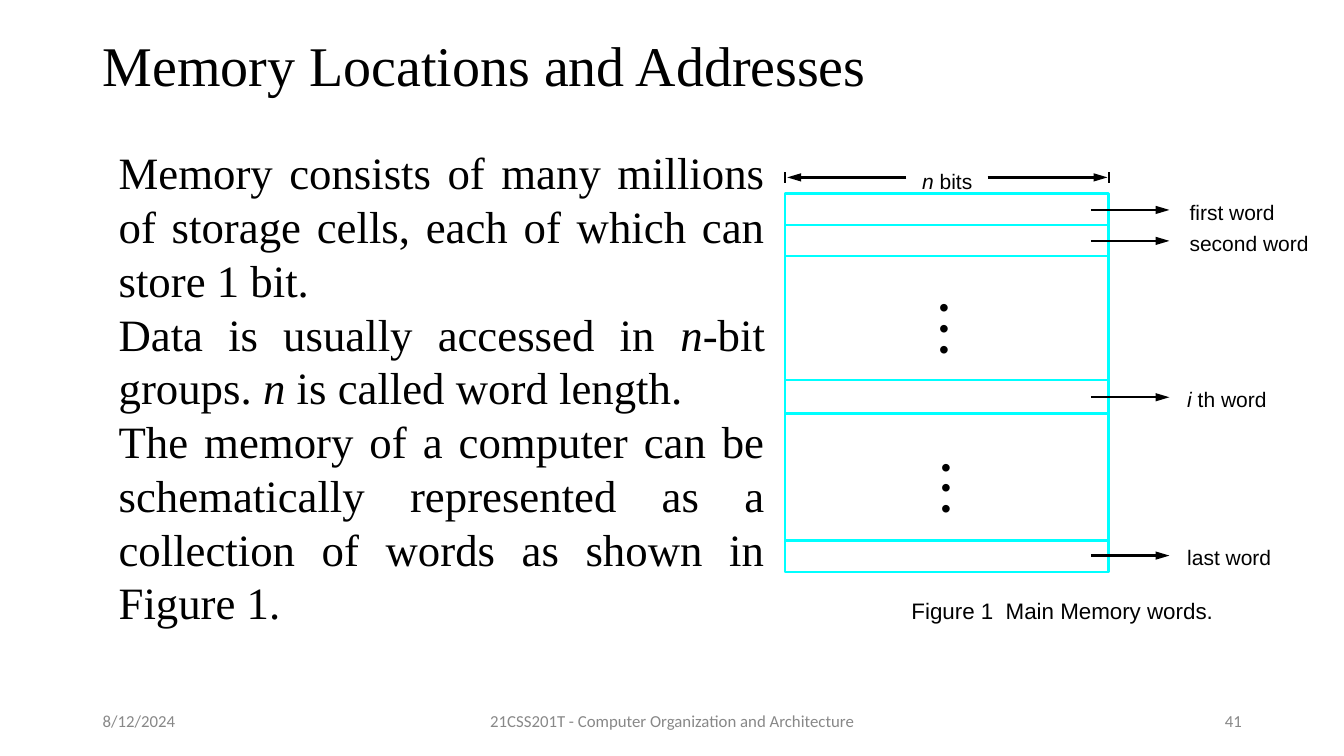
from lxml import etree
from pptx import Presentation
from pptx.dml.color import RGBColor
from pptx.enum.shapes import MSO_CONNECTOR, MSO_SHAPE
from pptx.enum.text import MSO_ANCHOR, MSO_AUTO_SIZE, PP_ALIGN
from pptx.oxml.ns import qn
from pptx.util import Cm, Pt

STRAIGHT = MSO_CONNECTOR.STRAIGHT
RECTANGLE = MSO_SHAPE.RECTANGLE
TOP, MIDDLE = MSO_ANCHOR.TOP, MSO_ANCHOR.MIDDLE
NO_AUTOFIT = MSO_AUTO_SIZE.NONE
LEFT, CENTER, RIGHT, JUSTIFY = (
    PP_ALIGN.LEFT, PP_ALIGN.CENTER, PP_ALIGN.RIGHT, PP_ALIGN.JUSTIFY)

COLORS = {"ink": "000000", "cell": "00FFFF", "footer": "888888"}
LINE_WIDTH = Pt(1.62)
TITLE_FONT = {"name": "Times New Roman", "size": Pt(40)}
BODY_FONT = {"name": "Times New Roman", "size": Pt(32)}
LABEL_FONT = {"name": "Arial", "size": Pt(15)}
CAPTION_FONT = {"name": "Arial", "size": Pt(16)}
DOT_FONT = {"name": "Arial", "size": Pt(20)}
FOOTER_FONT = {"name": "Calibri", "size": Pt(12)}

BODY_TEXT = [
    "Memory consists of many millions of storage cells, each of which can store 1 bit.",
    "Data is usually accessed in *n*-bit groups. *n* is called word length.",
    "The memory of a computer can be schematically represented as a collection "
    "of words as shown in Figure 1.",
]
DIVIDERS = [0.79, 1.57, 4.7, 5.54, 8.74]
WORDS = [(0.41, 10.19, "first word"), (1.19, 10.19, "second word"),
         (5.13, 10.13, "*i* th word"), (9.12, 10.13, "last word")]
DOTS = [(3.63, 2.87), (3.68, 6.88)]


def apply(target, values):
    for name, value in values.items():
        setattr(target, name, value)


def color(name):
    return RGBColor.from_string(COLORS[name])


def write(shape, texts, font, ink="ink", frame_format=None, paragraph_format=None):
    frame = shape.text_frame
    apply(frame, {"word_wrap": True, "auto_size": NO_AUTOFIT,
                  "vertical_anchor": TOP, **(frame_format or {})})
    for index, text in enumerate(texts):
        paragraph = frame.paragraphs[0] if index == 0 else frame.add_paragraph()
        apply(paragraph, {"alignment": LEFT, **(paragraph_format or {})})
        if index == 0:
            paragraph.space_before = Pt(0)
        for part, words in enumerate(text.split("*")):
            if words:
                run = paragraph.add_run()
                run.text = words
                apply(run.font, {**font, "italic": part % 2 == 1})
                run.font.color.rgb = color(ink)


def add_text(slide, box, texts, font, **formats):
    shape = slide.shapes.add_textbox(*map(Cm, box))
    write(shape, texts, font, **formats)


def add_label(slide, box, text, font):
    margins = ("margin_left", "margin_top", "margin_right", "margin_bottom")
    add_text(slide, box, [text], font,
             frame_format={**dict.fromkeys(margins, 0), "word_wrap": False})


def add_line(slide, start, end, ink="ink", arrow=False):
    line = slide.shapes.add_connector(STRAIGHT, *map(Cm, (*start, *end)))
    line.line.color.rgb = color(ink)
    line.line.width = LINE_WIDTH
    properties = line._element.spPr
    if arrow:
        etree.SubElement(properties.find(qn("a:ln")), qn("a:tailEnd"),
                         type="triangle", w="med", len="lg")
    etree.SubElement(properties, qn("a:effectLst"))


def add_title(slide, box):
    title = slide.shapes.title
    apply(title, dict(zip(("left", "top", "width", "height"), map(Cm, box))))
    write(title, ["Memory Locations and Addresses"], TITLE_FONT,
          frame_format={"vertical_anchor": MIDDLE},
          paragraph_format={"line_spacing": 0.9})


def add_bit_width(slide, left, width, y):
    right = left + width
    for edge in (left, right):
        add_line(slide, (edge, y + 0.13), (edge, y - 0.13))
    add_line(slide, (left + 3.05, y), (left + 0.05, y), arrow=True)
    add_line(slide, (right - 3.05, y), (right - 0.03, y), arrow=True)
    add_label(slide, (left + 3.45, y - 0.23, 1.22, 0.64), "*n* bits", LABEL_FONT)


def add_memory(slide, box):
    left, top, width, height = box
    memory = slide.shapes.add_shape(RECTANGLE, *map(Cm, box))
    memory.shadow.inherit = False
    memory.fill.background()
    memory.line.color.rgb = color("cell")
    memory.line.width = LINE_WIDTH
    for offset in DIVIDERS:
        add_line(slide, (left, top + offset), (left + width, top + offset), "cell")
    add_bit_width(slide, left, width, top - 0.41)
    for offset, label_offset, text in WORDS:
        y = top + offset
        add_line(slide, (left + 7.7, y), (left + 9.68, y), arrow=True)
        add_label(slide, (left + label_offset, y - 0.27, 3.05, 0.64), text, LABEL_FONT)
    for x, y in DOTS:
        add_text(slide, (left + x, top + y, 0.74, 2.3), ["•"] * 3, DOT_FONT,
                 paragraph_format={"line_spacing": 0.2, "space_before": Pt(10)})
    add_label(slide, (left + 3.18, top + height + 0.63, 7.7, 0.69),
              "Figure 1  Main Memory words.", CAPTION_FONT)


def add_footer(slide, box):
    left, top, width, height = box
    side, middle = 7.62, 11.43
    parts = [
        (left, side, LEFT, "8/12/2024"),
        (left + (width - middle) / 2, middle, CENTER,
         "21CSS201T - Computer Organization and Architecture"),
        (left + width - side, side, RIGHT, "41"),
    ]
    for x, part_width, alignment, text in parts:
        add_text(slide, (x, top, part_width, height), [text], FOOTER_FONT, ink="footer",
                 frame_format={"vertical_anchor": MIDDLE},
                 paragraph_format={"alignment": alignment})


def main():
    presentation = Presentation()
    presentation.slide_width = Cm(33.87)
    presentation.slide_height = Cm(19.05)
    slide = presentation.slides.add_slide(presentation.slide_layouts[5])
    add_title(slide, (2.34, 0.84, 29.21, 1.78))
    add_text(slide, (2.74, 3.53, 16.79, 12.57), BODY_TEXT, BODY_FONT,
             paragraph_format={"alignment": JUSTIFY})
    add_memory(slide, (19.79, 4.88, 8.15, 9.53))
    add_footer(slide, (2.34, 17.65, 29.21, 1.02))
    presentation.save("out.pptx")


if __name__ == "__main__":
    main()
